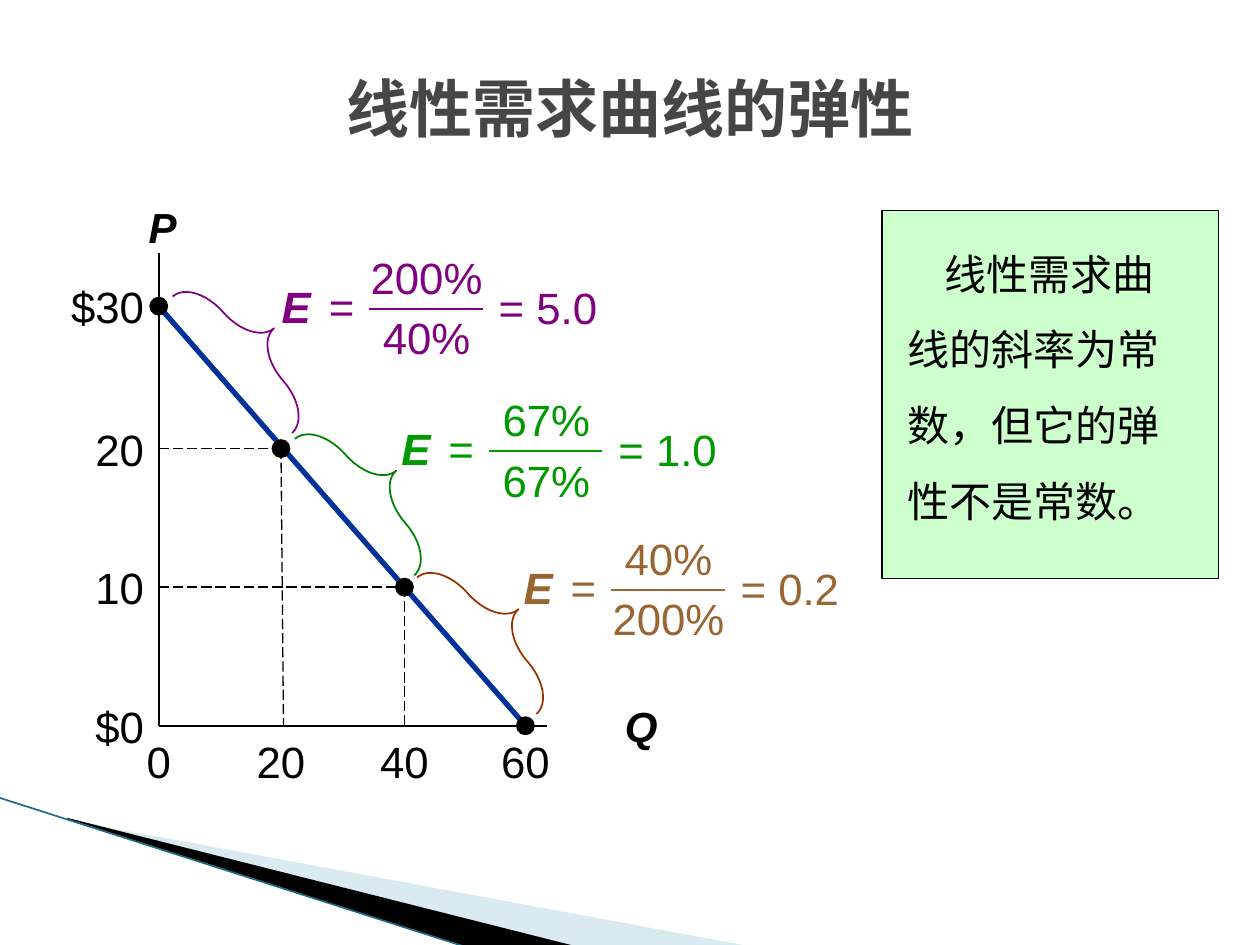
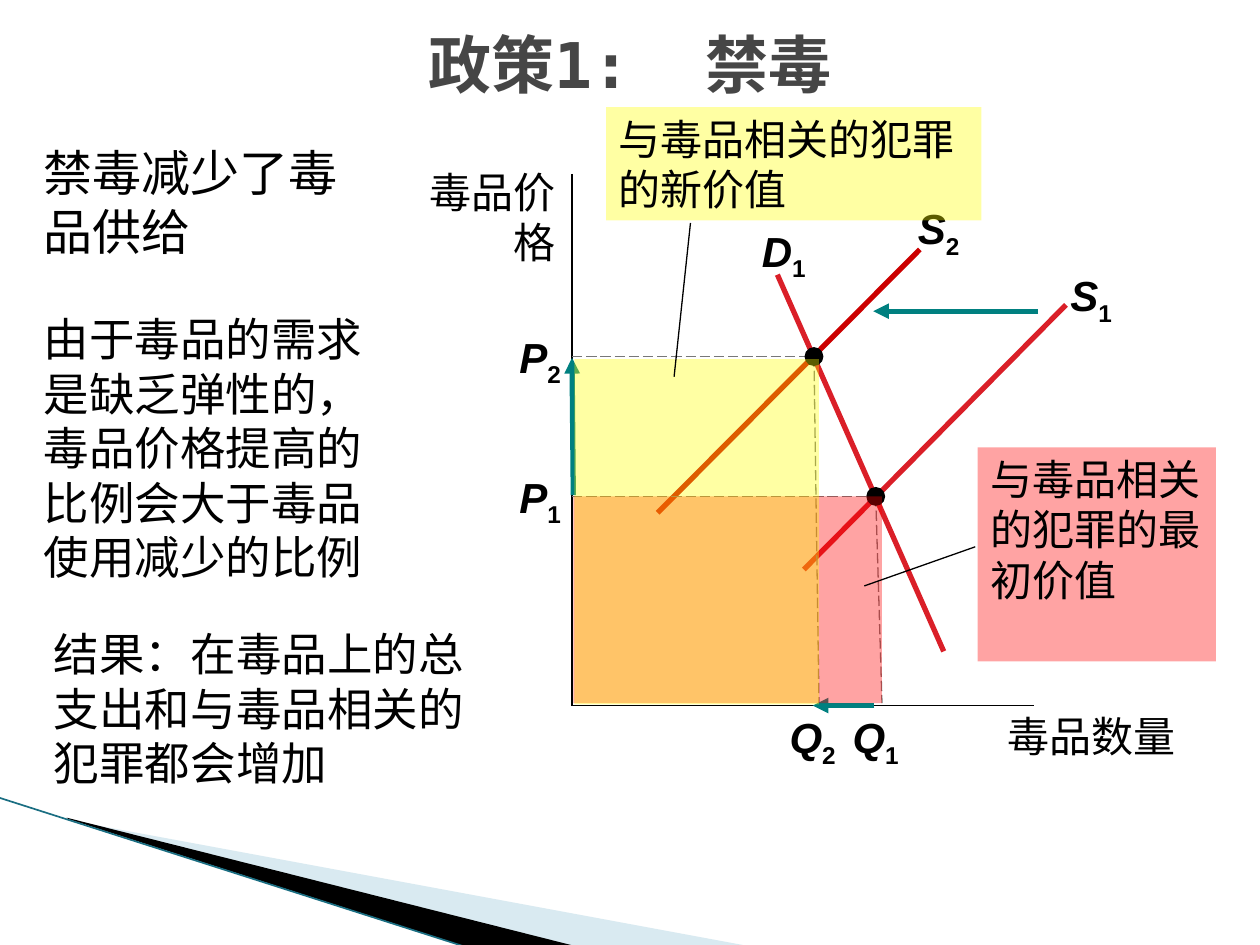
"""Build two economics slides: elasticity along a demand line, and drug interdiction."""

from dataclasses import dataclass

from lxml import etree
from pptx import Presentation
from pptx.dml.color import RGBColor
from pptx.enum.dml import MSO_LINE
from pptx.enum.shapes import MSO_CONNECTOR, MSO_SHAPE as SHAPE
from pptx.enum.text import MSO_ANCHOR as ANCHOR, MSO_AUTO_SIZE as FIT, PP_ALIGN as ALIGN
from pptx.oxml.ns import qn
from pptx.util import Inches, Pt


@dataclass(frozen=True)
class Theme:
    title_font: str = "DejaVu Sans Mono"
    body_font: str = "Arial"
    title_size: int = 36
    label_size: int = 24
    number_size: int = 25
    body_size: int = 26
    lead_size: int = 28
    gap_size: int = 12
    title: str = "464646"
    ink: str = "000000"
    guide: str = "777777"
    wedge: str = "A0CBDC"
    edge: str = "1A6E82"
    note: str = "CCFFCC"
    demand: str = "003399"
    curve: str = "DA1F28"
    shifted: str = "CC0000"
    arrow: str = "008080"
    old_value: str = "FF0000"
    new_value: str = "FFFF00"
    elastic: str = "800080"
    unit: str = "009900"
    unit_brace: str = "008000"
    inelastic: str = "996633"
    inelastic_brace: str = "993300"


theme = Theme()


def add_box(page, at, runs=(), kind=None, fill=None, alpha=None, line=None, width=1,
            color=theme.ink, align=ALIGN.LEFT, anchor=ANCHOR.TOP):
    """Add a text box, or a preset shape if kind is given; runs are (text, font values)."""
    place = [Inches(value) for value in at]
    if kind is None:
        box = page.shapes.add_textbox(*place)
    else:
        box = page.shapes.add_shape(kind, *place)
        box.shadow.inherit = False
        if fill:
            box.fill.solid()
            box.fill.fore_color.rgb = RGBColor.from_string(fill)
        else:
            box.fill.background()
        if alpha:
            tint = box.element.spPr.find(".//" + qn("a:srgbClr"))
            etree.SubElement(tint, qn("a:alpha"), val=str(alpha * 1000))
        if line:
            box.line.color.rgb = RGBColor.from_string(line)
            box.line.width = Pt(width)
        else:
            box.line.fill.background()
    frame = box.text_frame
    frame.word_wrap = True
    frame.vertical_anchor = anchor
    para = frame.paragraphs[0]
    para.alignment = align
    for text, values in runs:
        span = para.add_run()
        span.text = text
        span.font.color.rgb = RGBColor.from_string(color)
        for name, value in {"name": theme.body_font, "size": Pt(theme.label_size), **values}.items():
            setattr(span.font, name, value)
    return box


def add_line(page, start, end, color=theme.ink, width=1, dashed=False, arrow=False):
    """Add a straight connector between two points in inches."""
    line = page.shapes.add_connector(MSO_CONNECTOR.STRAIGHT, *map(Inches, (*start, *end)))
    line.line.color.rgb = RGBColor.from_string(color)
    line.line.width = Pt(width)
    if dashed:
        line.line.dash_style = MSO_LINE.LONG_DASH
    if arrow:
        etree.SubElement(line.element.spPr.find(qn("a:ln")), qn("a:tailEnd"), type="triangle")
    etree.SubElement(line.element.spPr, qn("a:effectLst"))
    return line


deck = Presentation()
deck.slide_width, deck.slide_height = Inches(10), Inches(7.5)
layout = deck.slide_layouts.get_by_name("Title Only")

pages = []
for title, at in [("线性需求曲线的弹性", (0, 0.5, 10, 0.71)), ("政策1:  禁毒", (0.5, 0.15, 9, 0.71))]:
    page = deck.slides.add_slide(layout)
    heading = page.shapes.title
    heading.left, heading.top, heading.width, heading.height = map(Inches, at)
    heading.text_frame.text = title
    heading.text_frame.auto_size = FIT.NONE
    heading.text_frame.vertical_anchor = ANCHOR.MIDDLE
    para = heading.text_frame.paragraphs[0]
    para.alignment = ALIGN.CENTER
    para.font.color.rgb = RGBColor.from_string(theme.title)
    for name, value in {"name": theme.title_font, "size": Pt(theme.title_size), "bold": True}.items():
        setattr(para.runs[0].font, name, value)
    pages.append(page)
elasticity, policy = pages

band = []
wedges = [
    (theme.wedge, 40, [(0.55, 6.51), (5.95, 7.51), (4.56, 7.51), (0.55, 6.5)]),
    (theme.ink, 100, [(0.53, 6.49), (4.57, 7.51), (3.72, 7.52), (0.54, 6.5)]),
]
for color, alpha, corners in wedges:
    points = [(Inches(x), Inches(y)) for x, y in corners]
    outline = elasticity.shapes.build_freeform(*points[0], scale=1.0)
    outline.add_line_segments(points[1:], close=True)
    wedge = outline.convert_to_shape()
    wedge.shadow.inherit = False
    wedge.line.fill.background()
    wedge.fill.solid()
    wedge.fill.fore_color.rgb = RGBColor.from_string(color)
    tint = wedge.element.spPr.find(".//" + qn("a:srgbClr"))
    etree.SubElement(tint, qn("a:alpha"), val=str(alpha * 1000))
    band.append(wedge)
band.append(add_line(elasticity, (-0.01, 6.33), (3.71, 7.52), theme.edge, 0.95))
for part in band:
    layout.shapes.element.append(part.element)

number = {"size": Pt(theme.number_size)}
symbol = {"bold": True, "italic": True}
dot = 0.15

note = add_box(elasticity, (7, 1.67, 2.67, 2.92),
               [("线性需求曲线的斜率为常数，但它的弹性不是常数。", {"name": theme.title_font})],
               SHAPE.RECTANGLE, theme.note, line=theme.ink, width=0.75)
for side, margin in {"left": 0.2, "top": 0.1, "right": 0.2, "bottom": 0.1}.items():
    setattr(note.text_frame, f"margin_{side}", Inches(margin))
para = note.text_frame.paragraphs[0]
para.line_spacing = 1.5
para.space_before = Pt(6)
para.element.get_or_add_pPr().set("indent", str(Inches(0.3))) if hasattr(para, "element") else \
    para._p.get_or_add_pPr().set("indent", str(Inches(0.3)))

axis_x, axis_y = 1.26, 5.76
add_line(elasticity, (axis_x, 2.01), (axis_x, axis_y))
add_line(elasticity, (axis_x, axis_y), (4.34, axis_y))
for letter, at in [("P", (1, 1.55, 0.58, 0.5)), ("Q", (4.82, 5.51, 0.54, 0.5))]:
    add_box(elasticity, at, [(letter, symbol)], align=ALIGN.CENTER)

add_line(elasticity, (axis_x, 2.43), (4.18, 5.77), theme.demand, 3)
demand_points = [
    ("$30", "0", 1.26, 2.43, None),
    ("20", "20", 2.23, 3.56, 2.25),
    ("10", "40", 3.21, 4.66, 3.21),
    ("$0", "60", 4.17, 5.76, None),
]
for price, quantity, x, y, foot in demand_points:
    add_box(elasticity, (0.45, y - 0.26, 0.79, 0.52), [(price, number)],
            align=ALIGN.RIGHT, anchor=ANCHOR.MIDDLE)
    add_box(elasticity, (x - 0.35, 5.78, 0.7, 0.52), [(quantity, number)],
            align=ALIGN.CENTER, anchor=ANCHOR.MIDDLE)
    if foot:
        add_line(elasticity, (axis_x, y), (x, y), width=0.75, dashed=True)
        add_line(elasticity, (x, y), (foot, axis_y), width=0.75, dashed=True)
    add_box(elasticity, (x - dot / 2, y - dot / 2, dot, dot), kind=SHAPE.OVAL, fill=theme.ink)

segments = [
    ("200%", "40%", "= 5.0", 2.03, 2.17, 1.79, theme.elastic, theme.elastic),
    ("67%", "67%", "= 1.0", 2.98, 3.3, 2.76, theme.unit, theme.unit_brace),
    ("40%", "200%", "= 0.2", 3.95, 4.4, 3.73, theme.inelastic, theme.inelastic_brace),
]
for top_value, bottom_value, result, x, y, brace_x, color, brace_color in segments:
    brace = add_box(elasticity, (brace_x, y - 0.14, 0.44, 1.44), kind=SHAPE.RIGHT_BRACE, line=brace_color)
    brace.rotation = 318.8
    brace.adjustments[0], brace.adjustments[1] = 0.815, 0.5
    equals = [("E ", {**number, **symbol}), (" ", {"size": Pt(theme.gap_size)}), ("=", number)]
    parts = [
        (0, 0, 0.88, equals, ALIGN.RIGHT),
        (0.8, -0.23, 1.11, [(top_value, number)], ALIGN.CENTER),
        (0.78, 0.25, 1.15, [(bottom_value, number)], ALIGN.CENTER),
        (1.83, 0.01, 1.16, [(result, number)], ALIGN.LEFT),
    ]
    for shift_x, shift_y, width, runs, align in parts:
        add_box(elasticity, (x + shift_x, y + shift_y, width, 0.52), runs, color=color, align=align)
    add_line(elasticity, (x + 0.9, y + 0.28), (x + 1.8, y + 0.28), color)

axis_x, axis_y = 4.54, 5.6
add_line(policy, (axis_x, 1.38), (axis_x, axis_y))
add_line(policy, (axis_x, axis_y), (8.21, axis_y))
for name, at in [("毒品价格", (3.03, 1.27, 1.48, 0.9)), ("毒品数量", (7.81, 5.59, 1.62, 0.5))]:
    add_box(policy, at, [(name, {})], align=ALIGN.RIGHT)

curves = [
    ((6.17, 2.18), (7.49, 5.17), theme.curve),
    ((6.38, 4.52), (8.46, 2.42), theme.curve),
    ((5.22, 4.07), (7.3, 1.98), theme.shifted),
]
for start, end, color in curves:
    add_line(policy, start, end, color, 3)

curve_labels = [
    ("D", "1", 5.86, 1.74, 0.72, ALIGN.CENTER),
    ("S", "1", 8.35, 2.09, 0.62, ALIGN.CENTER),
    ("S", "2", 7.09, 1.56, 0.72, ALIGN.CENTER),
    ("P", "1", 3.88, 3.69, 0.67, ALIGN.RIGHT),
    ("P", "2", 3.9, 2.58, 0.65, ALIGN.RIGHT),
    ("Q", "1", 6.65, 5.6, 0.6, ALIGN.CENTER),
    ("Q", "2", 6.13, 5.6, 0.64, ALIGN.CENTER),
]
for letter, index, x, y, width, align in curve_labels:
    label = add_box(policy, (x, y, width, 0.5), [(letter, symbol), (index, {"bold": True})], align=align)
    subscript = label.text_frame.paragraphs[0].runs[1]
    subscript._r.get_or_add_rPr().set("baseline", "-25000")

for x, y, foot in [(6.95, 3.94, 7), (6.46, 2.83, 6.5)]:
    add_line(policy, (axis_x, y), (x, y), theme.guide, 0.75, dashed=True)
    add_line(policy, (x, y), (foot, 5.58), theme.guide, 0.75, dashed=True)
    add_box(policy, (x - dot / 2, y - dot / 2, dot, dot), kind=SHAPE.OVAL, fill=theme.ink)

shifts = [((8.24, 2.47), (6.93, 2.47)), ((6.94, 5.6), (6.45, 5.6)), ((4.55, 3.93), (4.54, 2.84))]
for start, end in shifts:
    add_line(policy, start, end, theme.arrow, 3, arrow=True)

statements = [
    ("禁毒减少了毒品供给", theme.lead_size, (0.25, 1.08, 2.67, 1.03)),
    ("由于毒品的需求是缺乏弹性的，毒品价格提高的比例会大于毒品使用减少的比例", theme.body_size,
     (0.25, 2.42, 3.07, 2.7)),
    ("结果：在毒品上的总支出和与毒品相关的犯罪都会增加", theme.body_size, (0.33, 4.92, 3.75, 1.4)),
]
for text, size, at in statements:
    add_box(policy, at, [(text, {"size": Pt(size)})])

values = [
    (theme.old_value, (4.55, 3.94, 2.45, 1.64), "与毒品相关的犯罪的最初价值", (7.76, 3.55, 1.89, 1.7),
     (6.86, 4.65), (7.74, 4.34)),
    (theme.new_value, (4.56, 2.85, 1.94, 2.74), "与毒品相关的犯罪的新价值", (4.81, 0.85, 2.98, 0.9),
     (5.48, 1.77), (5.35, 2.99)),
]
for color, area, text, callout, start, end in values:
    add_box(policy, area, kind=SHAPE.RECTANGLE, fill=color, alpha=36)
    add_box(policy, callout, [(text, {})], SHAPE.RECTANGLE, color, 36)
    add_line(policy, start, end, width=0.75)

deck.save("out.pptx")
